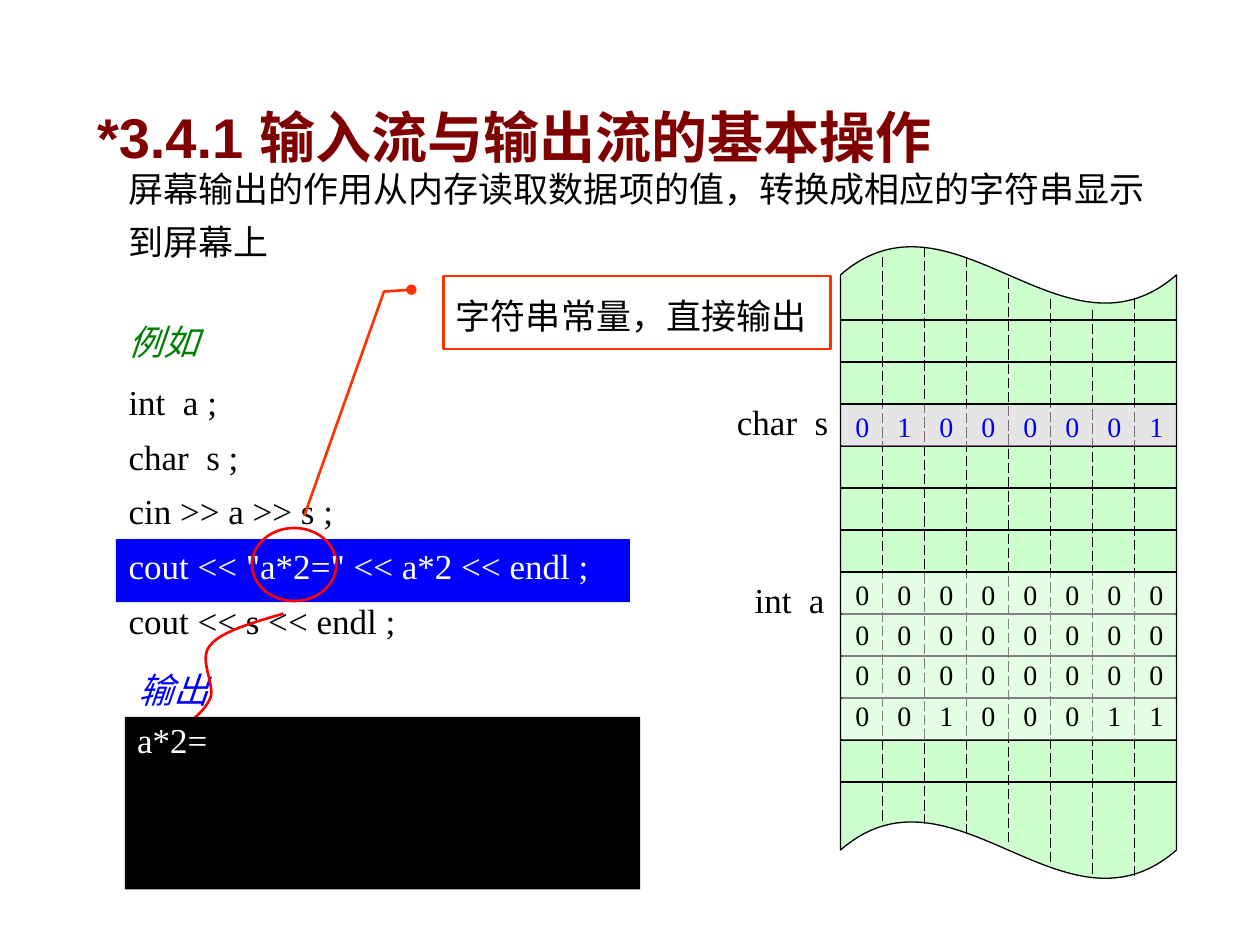
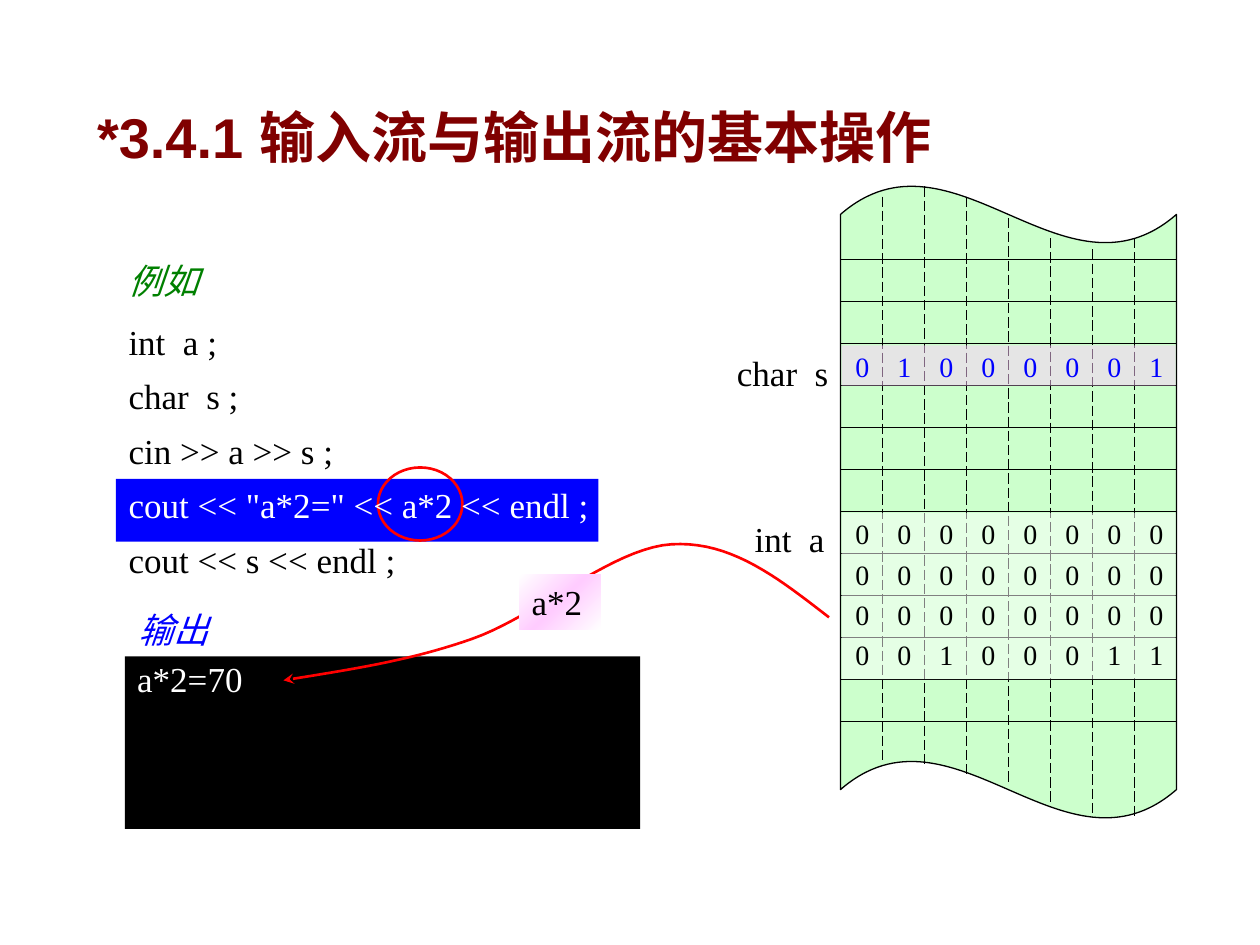
from copy import deepcopy

from lxml import etree
from pptx import Presentation
from pptx.dml.color import RGBColor
from pptx.enum.dml import MSO_LINE
from pptx.enum.shapes import MSO_CONNECTOR, MSO_SHAPE
from pptx.enum.text import MSO_ANCHOR, MSO_AUTO_SIZE, PP_ALIGN
from pptx.oxml.ns import qn
from pptx.util import Inches, Pt

RECT, OVAL, WAVE = MSO_SHAPE.RECTANGLE, MSO_SHAPE.OVAL, MSO_SHAPE.WAVE
CALLOUT = MSO_SHAPE.LINE_CALLOUT_2
STRAIGHT, LONG_DASH = MSO_CONNECTOR.STRAIGHT, MSO_LINE.LONG_DASH
TOP, LEFT, NO_FIT = MSO_ANCHOR.TOP, PP_ALIGN.LEFT, MSO_AUTO_SIZE.NONE

BLACK = RGBColor(0x00, 0x00, 0x00)
WHITE = RGBColor(0xFF, 0xFF, 0xFF)
BLUE = RGBColor(0x00, 0x00, 0xFF)
RED = RGBColor(0xFF, 0x00, 0x00)
ORANGE = RGBColor(0xFF, 0x33, 0x00)
GREEN = RGBColor(0x00, 0x80, 0x00)
MAROON = RGBColor(0x80, 0x00, 0x00)
MINT = RGBColor(0xCC, 0xFF, 0xCC)
PINK = RGBColor(0xFF, 0xCC, 0xFF)

SERIF, SANS, CJK = "Times New Roman", "Arial", "Noto Sans CJK SC"

TITLE = "*3.4.1 输入流与输出流的基本操作"
CODE = [
    "int  a ;",
    "char  s ;",
    "cin >> a >> s ;",
    'cout << "a*2=" << a*2 << endl ;',
    "cout << s << endl ;",
]
ACTIVE_LINE = 3

CELL = 1 / 3  # width of one bit and height of one byte
MEMORY_LEFT, MEMORY_WIDTH = 6.67, 8 * CELL
CHAR_BITS = ["01000001"]
INT_BITS = ["00000000", "00000000", "00000000", "00100011"]
# Start and end of each dashed bit divider, below the top of the memory strip
DIVIDERS = [(0.08, 4.58), (0, 4.58), (0.08, 4.66), (0.25, 4.75),
            (0.41, 4.91), (0.5, 5), (0.41, 5)]


def write(shape, lines, size=20, color=BLACK, font=SERIF, spacing=1.0,
          bold=False, italic=False, wrap=True):
    """Fill a shape with one plain paragraph per line; return the paragraphs."""
    frame = shape.text_frame
    frame.word_wrap = wrap
    frame.auto_size = NO_FIT
    frame.vertical_anchor = TOP
    paragraphs = []
    for number, line in enumerate(lines):
        paragraph = frame.add_paragraph() if number else frame.paragraphs[0]
        paragraph.alignment = LEFT
        paragraph.line_spacing = spacing
        paragraph.space_before = Pt(0)
        run = paragraph.add_run()
        run.text = line
        run.font.name = font
        run.font.size = Pt(size)
        run.font.bold = bold
        run.font.italic = italic
        run.font.color.rgb = color
        east_asian = etree.SubElement(run.font._element, qn("a:ea"))
        east_asian.set("typeface", CJK)
        paragraphs.append(paragraph)
    return paragraphs


def place(shape, x, y, width, height):
    shape.left, shape.top = Inches(x), Inches(y)
    shape.width, shape.height = Inches(width), Inches(height)


def add_text(slide, x, y, width, height, lines, **style):
    box = slide.shapes.add_textbox(*map(Inches, (x, y, width, height)))
    return box, write(box, lines, **style)


def paint(shape, fill=None, line=None, weight=1.5):
    shape.shadow.inherit = False
    if fill is None:
        shape.fill.background()
    else:
        shape.fill.solid()
        shape.fill.fore_color.rgb = fill
    if line is None:
        shape.line.fill.background()
    else:
        shape.line.color.rgb = line
        shape.line.width = Pt(weight)


def add_shape(slide, kind, x, y, width, height, **look):
    shape = slide.shapes.add_shape(kind, *map(Inches, (x, y, width, height)))
    paint(shape, **look)
    return shape


def add_veil(slide, x, y, width, height, color):
    """Half-transparent tint over some memory cells."""
    veil = add_shape(slide, RECT, x, y, width, height, fill=color)
    srgb = veil.element.spPr.find(qn("a:solidFill"))[0]
    etree.SubElement(srgb, qn("a:alpha")).set("val", "50000")


def add_rule(slide, x1, y1, x2, y2, dash=None):
    rule = slide.shapes.add_connector(STRAIGHT, *map(Inches, (x1, y1, x2, y2)))
    rule.line.color.rgb = BLACK
    rule.line.width = Pt(0.75)
    if dash:
        rule.line.dash_style = dash
    etree.SubElement(rule.element.spPr, qn("a:effectLst"))


def add_line_end(shape, end, kind):
    line = shape.line._get_or_add_ln()
    etree.SubElement(line, qn(f"a:{end}")).set("type", kind)


def bezier(points, steps=20):
    """Points along joined cubic curves, given as start, control, control, end..."""
    curve = [points[0]]
    for first in range(0, len(points) - 1, 3):
        section = points[first:first + 4]
        for step in range(1, steps + 1):
            t = step / steps
            weights = ((1 - t) ** 3, 3 * t * (1 - t) ** 2,
                       3 * t ** 2 * (1 - t), t ** 3)
            curve.append(tuple(sum(w * p[axis] for w, p in zip(weights, section))
                               for axis in (0, 1)))
    return curve


def add_curved_arrow(slide, points):
    start, *rest = [tuple(map(Inches, point)) for point in bezier(points)]
    builder = slide.shapes.build_freeform(*start)
    builder.add_line_segments(rest, close=False)
    arrow = builder.convert_to_shape()
    paint(arrow, line=RED)
    add_line_end(arrow, "tailEnd", "stealth")


def add_bits(slide, x, y, height, rows, color):
    """Rows of bits, one tab stop per memory cell."""
    box, paragraphs = add_text(slide, x, y, 2.7, height, ["\t".join(r) for r in rows],
                               size=16, color=color, spacing=1.2)
    box.text_frame.margin_right = 0
    for paragraph in paragraphs:
        stops = etree.SubElement(paragraph._p.get_or_add_pPr(), qn("a:tabLst"))
        for column in range(1, 8):
            stop = etree.SubElement(stops, qn("a:tab"))
            stop.set("pos", str(Inches(column * CELL)))
            stop.set("algn", "l")


def add_memory(slide, top, char_label_y):
    left, right = MEMORY_LEFT, MEMORY_LEFT + MEMORY_WIDTH
    strip = add_shape(slide, WAVE, left, top - 0.01, MEMORY_WIDTH, 5.03,
                      fill=MINT, line=BLACK, weight=0.75)
    strip.adjustments[0] = 0.0462
    for row in range(12):
        y = top + 0.58 + row * CELL
        add_rule(slide, left, y, right, y)
    for column, (start, end) in enumerate(DIVIDERS, 1):
        x = left + column * CELL
        add_rule(slide, x, top + start, x, top + end, LONG_DASH)
    add_text(slide, 5.89, top + 2.58, 0.75, 0.44, ["int  a"], wrap=False)
    add_veil(slide, left + 0.01, top + 2.59, 2.65, 1.32, WHITE)
    add_text(slide, 5.75, top + char_label_y, 0.92, 0.44, ["char  s"], wrap=False)
    add_veil(slide, left + 0.01, top + 1.26, 2.65, 0.32, PINK)
    add_bits(slide, left + 0.02, top + 2.52, 1.38, INT_BITS, BLACK)
    add_bits(slide, left + 0.02, top + 1.19, 0.42, CHAR_BITS, BLUE)


def add_code(slide, top, highlight_width, circle_x):
    """Example code with its active line highlighted and one part circled."""
    highlight = add_shape(slide, RECT, 0.92, top + 2.32, highlight_width, 0.5, fill=BLUE)
    circle = add_shape(slide, OVAL, circle_x, top + 2.23, 0.67, 0.58, line=RED)
    add_text(slide, 0.92, top + 0.5, 0.83, 0.47, ["例如"],
             color=GREEN, italic=True, spacing=1.1)
    body = slide.placeholders[1]
    place(body, 0.92, top + 0.91, 4, 2.27)
    paragraphs = write(body, CODE, spacing=1.3)
    for paragraph in paragraphs:
        properties = paragraph._p.get_or_add_pPr()
        properties.set("marL", "0")
        properties.set("indent", "0")
        etree.SubElement(properties, qn("a:buNone"))
    paragraphs[ACTIVE_LINE].runs[0].font.color.rgb = WHITE
    for backing in (circle, highlight):
        backing.element.getparent().insert(2, backing.element)


def add_console(slide, top, output):
    console = add_shape(slide, RECT, 0.99, top + 3.73, 4.09, 1.37, fill=BLACK)
    write(console, [output], color=WHITE, spacing=0.9)


def add_output_label(slide, top):
    add_text(slide, 1, top + 3.3, 0.75, 0.44, ["输出"],
             color=BLUE, italic=True, wrap=False)


def add_callout(slide, x, y):
    callout = add_shape(slide, CALLOUT, x, y, 3.07, 0.58, fill=WHITE, line=ORANGE)
    for index, value in enumerate((0.188, -0.083, 0.214, -0.154, 3.283, -0.36)):
        callout.adjustments[index] = value
    add_line_end(callout, "headEnd", "oval")
    write(callout, ["字符串常量，直接输出"], spacing=1.3)


def add_value_tag(slide, x, y):
    tag = add_shape(slide, RECT, x, y, 0.65, 0.44)
    tag.fill.gradient()
    tag.fill.gradient_angle = 315
    stop_list = tag.element.spPr.find(".//" + qn("a:gsLst"))
    stop_list.insert(1, deepcopy(stop_list[0]))
    for stop, color, position in zip(tag.fill.gradient_stops,
                                     (WHITE, PINK, WHITE), (0, 0.5, 1)):
        stop.color.rgb = color
        stop.position = position
    write(tag, ["a*2"])


def new_slide(deck):
    slide = deck.slides.add_slide(deck.slide_layouts[1])
    place(slide.shapes.title, 0.67, 0.5, 8.83, 0.75)
    write(slide.shapes.title, [TITLE], size=32, color=MAROON, font=SANS,
          spacing=1.5, bold=True)
    return slide


def build_constant_slide(deck, top=1.96):
    """Output of the string constant."""
    slide = new_slide(deck)
    add_code(slide, top, highlight_width=4.08, circle_x=2)
    add_output_label(slide, top)
    add_callout(slide, 3.52, top + 0.23)
    add_curved_arrow(slide, [
        (2.25, 4.87), (2.01, 4.94), (1.76, 5.01), (1.67, 5.12),
        (1.57, 5.23), (1.71, 5.43), (1.67, 5.54),
        (1.62, 5.65), (1.52, 5.72), (1.42, 5.79)])
    add_memory(slide, top, char_label_y=1.17)
    add_text(slide, 0.92, 1.2, 8.33, 0.94,
             ["屏幕输出的作用从内存读取数据项的值，转换成相应的字符串显示到屏幕上"],
             font=CJK, spacing=1.25)
    add_console(slide, top, "a*2=")


def build_value_slide(deck, top=1.48):
    """Output of the value computed from memory."""
    slide = new_slide(deck)
    add_code(slide, top, highlight_width=3.83, circle_x=3)
    add_console(slide, top, "a*2=70")
    add_output_label(slide, top)
    add_memory(slide, top, char_label_y=1.26)
    add_curved_arrow(slide, [
        (6.58, 4.9), (6.19, 4.6), (5.81, 4.29), (5.33, 4.32),
        (4.86, 4.35), (4.26, 4.89), (3.75, 5.07),
        (3.24, 5.25), (2.74, 5.32), (2.25, 5.4)])
    add_value_tag(slide, 4.12, 4.56)


def main():
    deck = Presentation()
    deck.slide_width, deck.slide_height = Inches(10), Inches(7.5)
    build_constant_slide(deck)
    build_value_slide(deck)
    deck.save("out.pptx")


if __name__ == "__main__":
    main()
